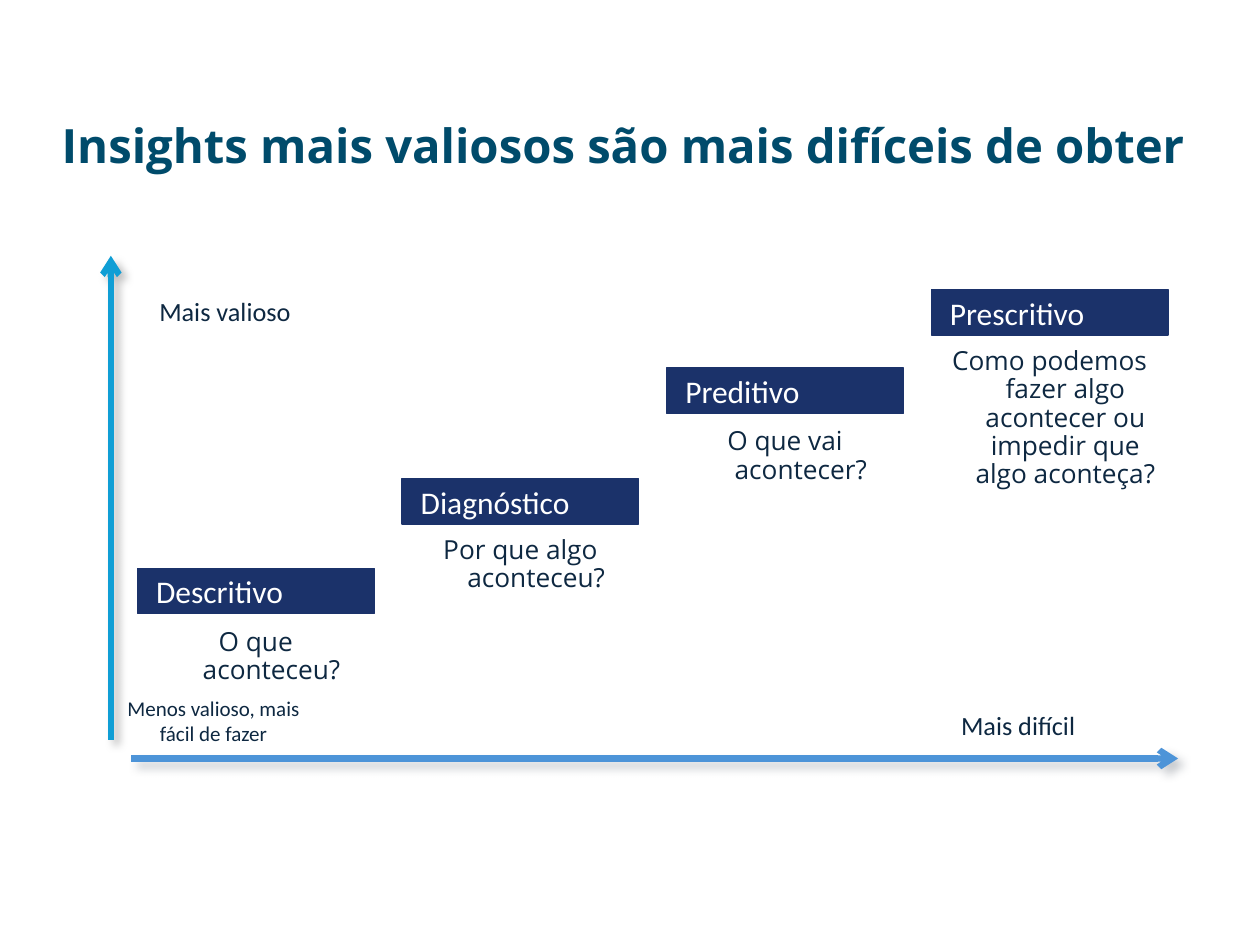
import pptx
import pptx.dml.color
import pptx.enum.shapes
import pptx.enum.text
import pptx.oxml
import pptx.oxml.ns
import pptx.util

Inches = pptx.util.Inches
RGBColor = pptx.dml.color.RGBColor
Align = pptx.enum.text.PP_ALIGN
Anchor = pptx.enum.text.MSO_ANCHOR

TEAL = RGBColor(0x00, 0x4B, 0x6B)
NAVY = RGBColor(0x1B, 0x32, 0x6A)
INK = RGBColor(0x0E, 0x28, 0x41)
WHITE = RGBColor(0xFF, 0xFF, 0xFF)
CYAN = RGBColor(0x0F, 0x9E, 0xD5)
BLUE = RGBColor(0x4D, 0x94, 0xD8)
BLACK = RGBColor(0x00, 0x00, 0x00)
SLATE = RGBColor(0x23, 0x2F, 0x3E)

FIRST_COLUMN, COLUMN_STEP, COLUMN_WIDTH = 1.09, 2.1, 1.88
HEADING_HEIGHT = 0.36
STAGES = [
    ("Descritivo", 4.51, "O que aconteceu?", 4.94, 5.47),
    ("Diagnóstico", 3.8, "Por que algo aconteceu?", 4.21, 5.91),
    ("Preditivo", 2.92, "O que vai acontecer?", 3.35, 5.91),
    ("Prescritivo", 2.3, "Como podemos fazer algo acontecer ou impedir que algo aconteça?",
     2.71, 5.91),
]


def write(holder, text, size, color, font="Calibri", bold=False, align=Align.LEFT,
          anchor=Anchor.TOP, margin=0, indent=0):
    """Put one formatted paragraph into a shape."""
    frame = holder.text_frame
    frame.word_wrap = True
    frame.vertical_anchor = anchor
    frame.text = text
    paragraph = frame.paragraphs[0]
    paragraph.alignment = align
    properties = paragraph._p.get_or_add_pPr()
    properties.set("marL", str(Inches(margin)))
    properties.set("indent", str(Inches(indent)))
    style = paragraph.runs[0].font
    style.name, style.size, style.bold = font, pptx.util.Pt(size), bold
    style.color.rgb = color
    return paragraph


def add_text(slide, box, text, size, color, **options):
    """Add a text box holding one paragraph."""
    holder = slide.shapes.add_textbox(*map(Inches, box))
    return write(holder, text, size, color, **options)


def add_block(slide, box, fill, text, size, color, outlined=False, **options):
    """Add a filled rectangle holding one paragraph."""
    block = slide.shapes.add_shape(
        pptx.enum.shapes.MSO_SHAPE.RECTANGLE, *map(Inches, box))
    block.shadow.inherit = False
    block.fill.solid()
    block.fill.fore_color.rgb = fill
    if outlined:
        block.line.color.rgb = fill
        block.line.width = pptx.util.Pt(0.75)
    else:
        block.line.fill.background()
    write(block, text, size, color, **options)


def add_axis(slide, start, end, color, shadow):
    """Add a thick arrow with a soft shadow."""
    axis = slide.shapes.add_connector(
        pptx.enum.shapes.MSO_CONNECTOR.STRAIGHT, *map(Inches, start + end))
    axis.line.color.rgb = color
    axis.line.width = pptx.util.Pt(3.5)
    namespace = pptx.oxml.ns.nsdecls("a")
    axis.line._get_or_add_ln().append(
        pptx.oxml.parse_xml(f'<a:tailEnd {namespace} type="arrow"/>'))
    axis._element.spPr.append(pptx.oxml.parse_xml(
        f'<a:effectLst {namespace}><a:outerShdw blurRad="{pptx.util.Pt(5)}" '
        f'dist="{pptx.util.Pt(4.2)}" dir="2700000" algn="tl" rotWithShape="0">'
        f'<a:srgbClr val="{shadow}"><a:alpha val="25000"/></a:srgbClr>'
        '</a:outerShdw></a:effectLst>'))


def add_stage(slide, column, heading, heading_top, question, question_top, bottom):
    """Add one analytics stage: a heading bar with its question below."""
    left = FIRST_COLUMN + column * COLUMN_STEP
    add_block(slide, (left, heading_top, COLUMN_WIDTH, HEADING_HEIGHT), NAVY,
              heading, 18, WHITE, outlined=True, anchor=Anchor.MIDDLE, margin=0.05)
    paragraph = add_text(
        slide, (left, question_top, COLUMN_WIDTH, bottom - question_top), question,
        15, INK, font="Open Sans", align=Align.CENTER, margin=0.25, indent=-0.25)
    paragraph.line_spacing = 0.9


def main():
    """Build the slide on insight value against difficulty."""
    deck = pptx.Presentation()
    deck.slide_width, deck.slide_height = Inches(10), Inches(7.5)
    slide = deck.slides.add_slide(deck.slide_layouts[6])
    add_text(slide, (0.39, 0.85, 9.22, 0.6),
             "Insights mais valiosos são mais difíceis de obter", 27, TEAL,
             font="Open Sans", bold=True, anchor=Anchor.MIDDLE)
    for column, stage in enumerate(STAGES):
        add_stage(slide, column, *stage)
    add_text(slide, (0.83, 5.47, 1.73, 0.5), "Menos valioso, mais fácil de fazer",
             12, INK, align=Align.CENTER)
    add_axis(slide, (0.88, 5.87), (0.88, 2.03), CYAN, BLACK)
    add_block(slide, (1.09, 2.29, 1.39, 0.35), WHITE, "Mais valioso", 15, INK,
              align=Align.CENTER)
    add_axis(slide, (1.04, 6.02), (9.35, 6.02), BLUE, SLATE)
    add_block(slide, (7.04, 5.58, 2.08, 0.35), WHITE, "Mais difícil", 15, INK,
              align=Align.CENTER)
    deck.save("out.pptx")


if __name__ == "__main__":
    main()
